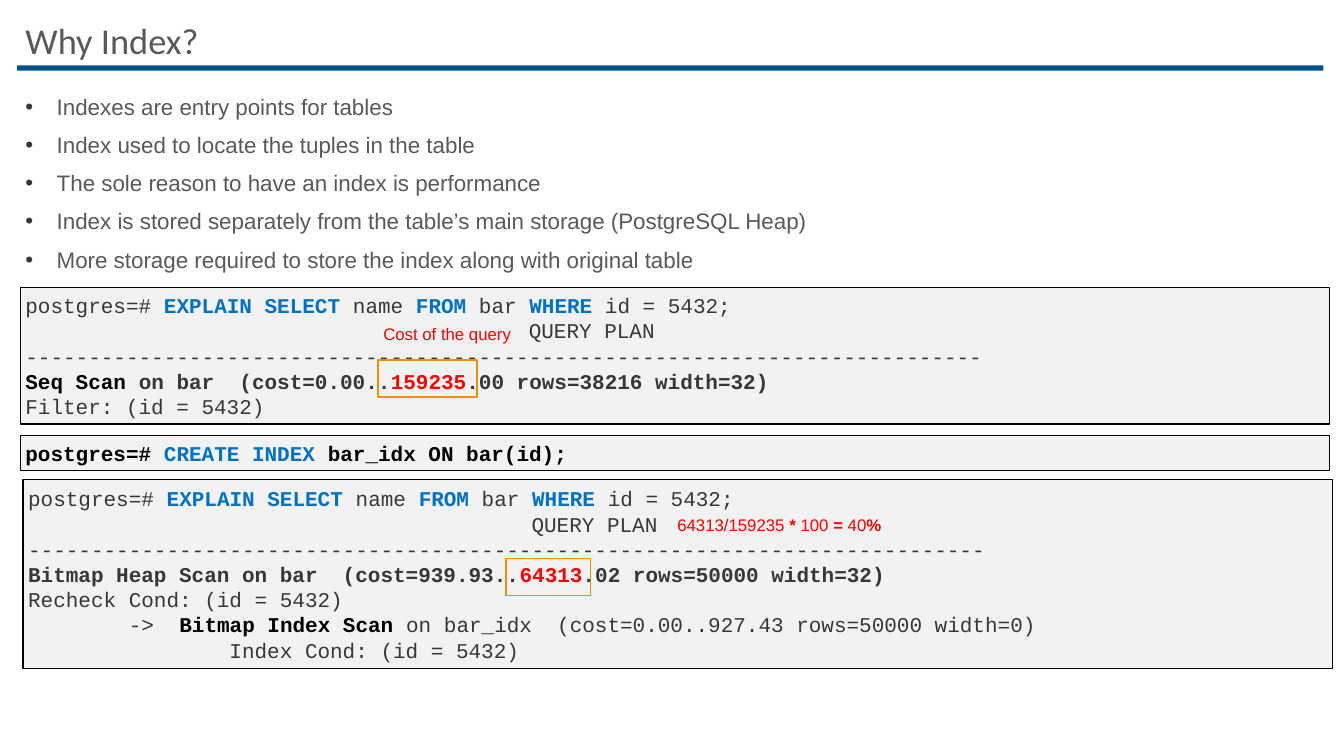
from typing import NamedTuple

from lxml.etree import SubElement
from pptx import Presentation
from pptx.dml.color import RGBColor
from pptx.enum.shapes import MSO_SHAPE
from pptx.enum.text import MSO_ANCHOR, MSO_AUTO_SIZE, PP_ALIGN
from pptx.oxml.ns import qn
from pptx.util import Cm, Pt

INK, GREY, BLACK = "373737", "595959", "000000"
KEYWORD, RED, ORANGE = "0070C0", "FF0000", "EF9000"
PANEL, BAR = "F2F2F2", "00508C"


class Run(NamedTuple):
    text: str
    color: str = INK
    bold: bool = False


class Box(NamedTuple):
    left: float
    top: float
    width: float
    height: float

    def lengths(self) -> list:
        return [Cm(v) for v in self]


class Panel(NamedTuple):
    box: Box
    lines: list


class Label(NamedTuple):
    box: Box
    runs: list


SELECT = [
    Run("postgres=# "), Run("EXPLAIN SELECT", KEYWORD, True), Run(" name "),
    Run("FROM", KEYWORD, True), Run(" bar "), Run("WHERE", KEYWORD, True),
    Run(" id = 5432;"),
]
PLAN_HEAD = [SELECT, [Run(" " * 40 + "QUERY PLAN")], [Run("-" * 76)]]

PANELS = [
    Panel(Box(0.58, 12.09, 33, 4.75), PLAN_HEAD + [
        [Run("Bitmap Heap Scan on bar  (cost=939.93..", INK, True),
         Run("64313", RED, True), Run(".02 rows=50000 width=32)", INK, True)],
        [Run("Recheck Cond: (id = 5432)")],
        [Run("        ->  "), Run("Bitmap Index Scan ", BLACK, True),
         Run("on bar_idx  (cost=0.00..927.43 rows=50000 width=0)")],
        [Run("                Index Cond: (id = 5432)")],
    ]),
    Panel(Box(0.51, 10.97, 33, 0.89), [
        [Run("postgres=# ", BLACK, True), Run("CREATE INDEX ", KEYWORD, True),
         Run("bar_idx ON bar(id);", BLACK, True)],
    ]),
    Panel(Box(0.51, 7.24, 33, 3.45), PLAN_HEAD + [
        [Run("Seq Scan ", BLACK, True), Run("on bar  (cost=0.00..", INK, True),
         Run("159235", RED, True), Run(".00 rows=38216 width=32)", INK, True)],
        [Run("Filter: (id = 5432)")],
    ]),
]

BULLETS = [
    "Indexes are entry points for tables",
    "Index used to locate the tuples in the table",
    "The sole reason to have an index is performance",
    "Index is stored separately from the table’s main storage (PostgreSQL Heap)",
    "More storage required to store the index along with original table",
]

LABELS = [
    Label(Box(16.94, 12.85, 5.87, 0.76), [
        Run("64313/159235", RED), Run(" * ", RED, True), Run("100", RED),
        Run(" = ", RED, True), Run("40", RED), Run("%", RED, True)]),
    Label(Box(9.53, 8.03, 3.68, 0.76), [Run("Cost of the query", RED)]),
]

COST_FRAMES = [Box(9.53, 9.07, 2.49, 0.94), Box(12.75, 14.07, 2.13, 0.94)]


def rgb(color: str) -> RGBColor:
    return RGBColor.from_string(color)


def add_bullet(p) -> None:
    pPr = p._p.get_or_add_pPr()
    pPr.set("marL", str(Cm(0.79)))
    pPr.set("indent", str(-Cm(0.79)))
    SubElement(SubElement(pPr, qn("a:buClr")), qn("a:srgbClr"), val=INK)
    SubElement(pPr, qn("a:buFont"), typeface="Arial")
    SubElement(pPr, qn("a:buChar"), char="•")


def write(tf, lines: list, *, size: float, font: str = "Arial",
          anchor=MSO_ANCHOR.TOP, spacing: float = 1.0, gap: float = 0,
          bullet: bool = False) -> None:
    """Fill a text frame with one paragraph per list of runs."""
    tf.word_wrap = True
    tf.auto_size = MSO_AUTO_SIZE.NONE
    tf.vertical_anchor = anchor
    tf.margin_left = tf.margin_right = Cm(0.13)
    tf.margin_top = tf.margin_bottom = Cm(0.13)
    for i, runs in enumerate(lines):
        p = tf.add_paragraph() if i else tf.paragraphs[0]
        p.alignment = PP_ALIGN.LEFT
        p.line_spacing = spacing
        p.space_before = Pt(gap if i else 0)
        if bullet:
            add_bullet(p)
        for run in runs:
            r = p.add_run()
            r.text = run.text
            r.font.name = font
            r.font.size = Pt(size)
            r.font.bold = run.bold
            r.font.color.rgb = rgb(run.color)


def add_rect(s, box: Box, fill: str = "", line: str = ""):
    sp = s.shapes.add_shape(MSO_SHAPE.RECTANGLE, *box.lengths())
    sp.shadow.inherit = False
    if fill:
        sp.fill.solid()
        sp.fill.fore_color.rgb = rgb(fill)
    else:
        sp.fill.background()
    if line:
        sp.line.color.rgb = rgb(line)
        sp.line.width = Pt(1)
    else:
        sp.line.fill.background()
    return sp


def add_text(s, box: Box, lines: list, **style) -> None:
    write(s.shapes.add_textbox(*box.lengths()).text_frame, lines, **style)


def main() -> None:
    prs = Presentation()
    prs.slide_width, prs.slide_height = Cm(33.87), Cm(19.05)
    s = prs.slides.add_slide(prs.slide_layouts[5])

    title = s.shapes.title
    title.left, title.top, title.width, title.height = Box(0.51, 0.08, 33, 2.01).lengths()
    write(title.text_frame, [[Run("Why Index?", GREY)]], size=26,
          font="Calibri", anchor=MSO_ANCHOR.MIDDLE, spacing=0.9)
    add_rect(s, Box(0.43, 1.65, 32.92, 0.13), fill=BAR)

    add_text(s, Box(0.51, 2.29, 33, 4.75), [[Run(b, GREY)] for b in BULLETS],
             size=16, spacing=0.9, gap=10, bullet=True)
    for panel in PANELS:
        sp = add_rect(s, panel.box, fill=PANEL, line=BLACK)
        write(sp.text_frame, panel.lines, size=15, font="Courier New",
              anchor=MSO_ANCHOR.MIDDLE)
    for label in LABELS:
        add_text(s, label.box, [label.runs], size=12)
    for frame in COST_FRAMES:
        add_rect(s, frame, line=ORANGE)

    prs.save("out.pptx")


if __name__ == "__main__":
    main()
